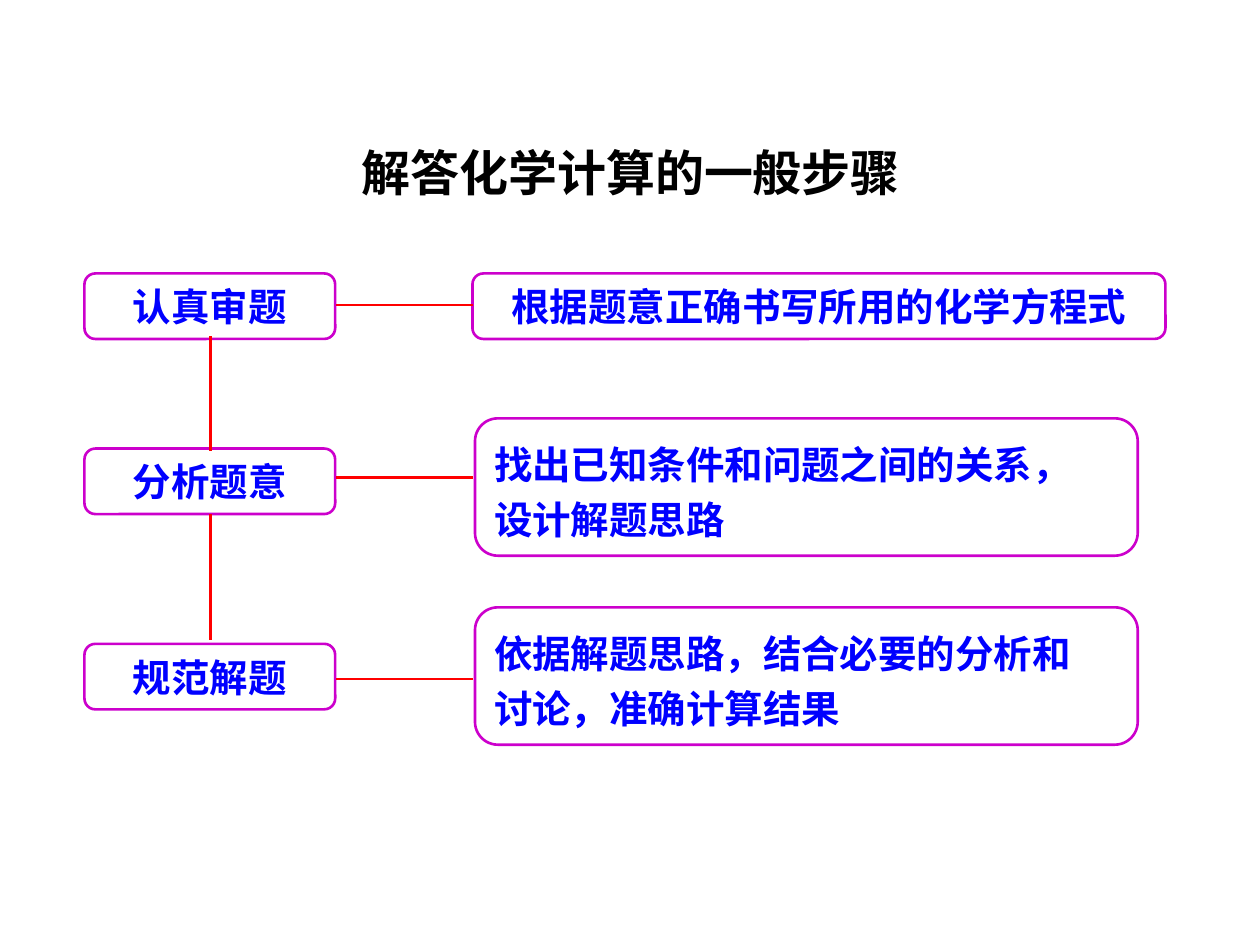
from dataclasses import dataclass

from lxml import etree
from pptx import Presentation
from pptx.dml.color import RGBColor
from pptx.enum.shapes import MSO_CONNECTOR, MSO_SHAPE
from pptx.enum.text import MSO_ANCHOR, MSO_AUTO_SIZE, PP_ALIGN
from pptx.oxml.ns import qn
from pptx.util import Inches, Pt

ROUNDED = MSO_SHAPE.FLOWCHART_ALTERNATE_PROCESS
STRAIGHT = MSO_CONNECTOR.STRAIGHT
LEFT, CENTER = PP_ALIGN.LEFT, PP_ALIGN.CENTER
MIDDLE = MSO_ANCHOR.MIDDLE
FIT = MSO_AUTO_SIZE.SHAPE_TO_FIT_TEXT


@dataclass(frozen=True)
class Theme:
    font: str = "Arial"
    title_color: RGBColor = RGBColor(0x00, 0x00, 0x00)
    text_color: RGBColor = RGBColor(0x00, 0x00, 0xFF)
    border: RGBColor = RGBColor(0xCC, 0x00, 0xCC)
    link: RGBColor = RGBColor(0xFF, 0x00, 0x00)
    title_size: Pt = Pt(28)
    text_size: Pt = Pt(22)
    line_width: Pt = Pt(1.5)


@dataclass(frozen=True)
class Box:
    left: float
    top: float
    width: float
    height: float
    lines: tuple[str, ...]
    align: PP_ALIGN = CENTER
    spacing: float = 1.0


@dataclass(frozen=True)
class Link:
    x1: float
    y1: float
    x2: float
    y2: float


THEME = Theme()
TITLE = Box(1.92, 1.08, 6.17, 0.57, ("解答化学计算的一般步骤",))
STEPS = [
    Box(0.67, top, 1.99, 0.52, (text,))
    for top, text in ((2.17, "认真审题"), (3.56, "分析题意"), (5.11, "规范解题"))
]
DETAILS = [
    Box(3.75, 2.17, 5.5, 0.52, ("根据题意正确书写所用的化学方程式",)),
    *(
        Box(3.77, top, 5.26, 1.09, lines, LEFT, 1.2)
        for top, lines in (
            (3.32, ("找出已知条件和问题之间的关系，", "设计解题思路")),
            (4.82, ("依据解题思路，结合必要的分析和", "讨论，准确计算结果")),
        )
    ),
]
LINKS = [
    *(Link(2.67, y, 3.75, y) for y in (2.42, 3.79, 5.39)),
    *(Link(1.67, y1, 1.67, y2) for y1, y2 in ((2.67, 3.58), (4.08, 5.08))),
]


def set_attrs(target, values: dict) -> None:
    for name, value in values.items():
        setattr(target, name, value)


def write_text(sp, box: Box, size: Pt, color: RGBColor) -> None:
    tf = sp.text_frame
    tf.text = "\n".join(box.lines)
    set_attrs(tf, {
        "word_wrap": True,
        "auto_size": FIT,
        "vertical_anchor": MIDDLE,
        "margin_left": Inches(0.1),
        "margin_right": Inches(0.1),
        "margin_top": Inches(0.05),
        "margin_bottom": Inches(0.05),
    })
    for p in tf.paragraphs:
        set_attrs(p, {"alignment": box.align, "line_spacing": box.spacing})
        for r in p.runs:
            set_attrs(r.font, {"name": THEME.font, "size": size, "bold": True})
            r.font.color.rgb = color


def add_title(slide, box: Box) -> None:
    sp = slide.shapes.title
    set_attrs(sp, {
        name: Inches(getattr(box, name))
        for name in ("left", "top", "width", "height")
    })
    write_text(sp, box, THEME.title_size, THEME.title_color)


def add_box(slide, box: Box) -> None:
    sp = slide.shapes.add_shape(
        ROUNDED, Inches(box.left), Inches(box.top),
        Inches(box.width), Inches(box.height),
    )
    sp.shadow.inherit = False
    sp.fill.background()
    sp.line.color.rgb = THEME.border
    sp.line.width = THEME.line_width
    write_text(sp, box, THEME.text_size, THEME.text_color)


def add_link(slide, link: Link) -> None:
    cxn = slide.shapes.add_connector(
        STRAIGHT, Inches(link.x1), Inches(link.y1),
        Inches(link.x2), Inches(link.y2),
    )
    cxn.line.color.rgb = THEME.link
    cxn.line.width = THEME.line_width
    etree.SubElement(cxn._element.spPr, qn("a:effectLst"))


def main() -> None:
    prs = Presentation()
    prs.slide_width, prs.slide_height = Inches(10), Inches(7.5)
    slide = prs.slides.add_slide(prs.slide_layouts.get_by_name("Title Only"))
    add_title(slide, TITLE)
    for box in STEPS + DETAILS:
        add_box(slide, box)
    for link in LINKS:
        add_link(slide, link)
    prs.save("out.pptx")


if __name__ == "__main__":
    main()
